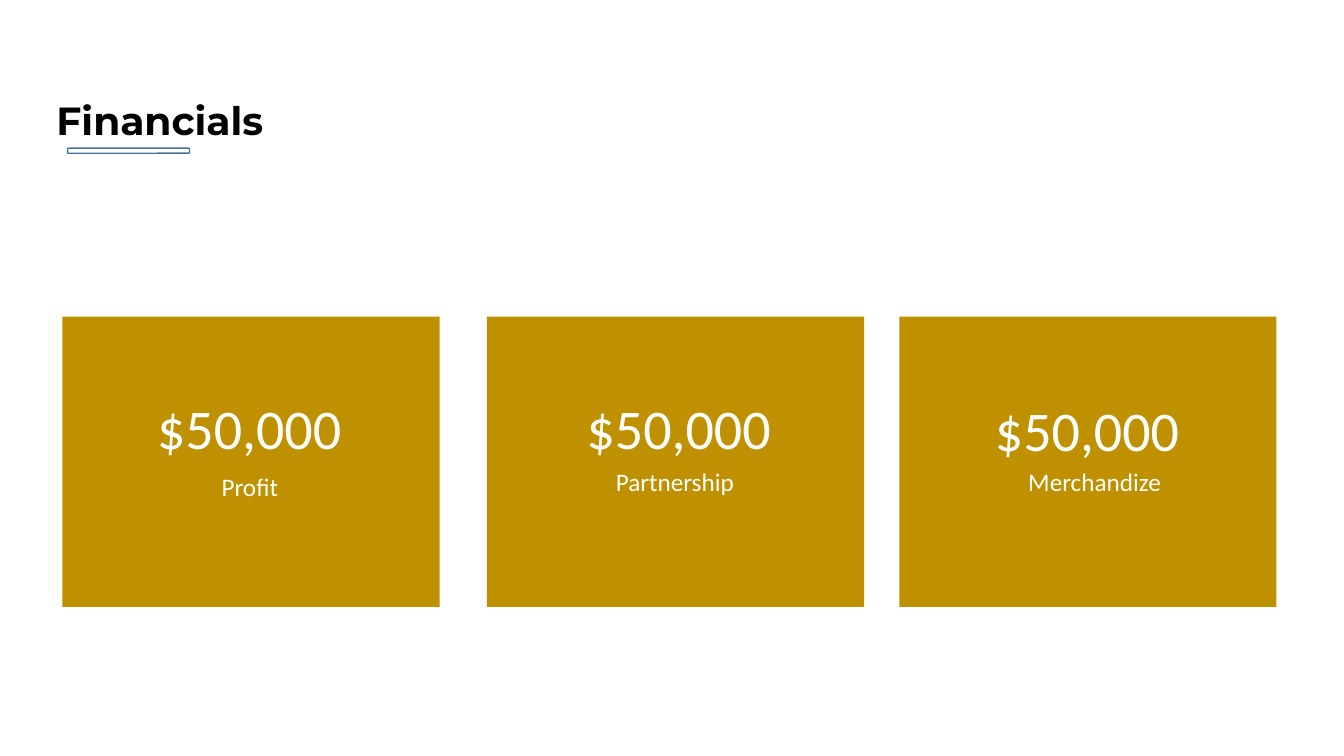
import pptx
import pptx.util
import pptx.dml.color
import pptx.enum.shapes
import pptx.enum.text

Inches = pptx.util.Inches
COLORS = {"black": "000000", "white": "FFFFFF", "gold": "BF9000", "blue": "43739E"}


class FinancialsSlide:
    """Holds the style and the slide being built."""

    heading_font = "Montserrat"
    body_font = "Calibri"

    def __init__(self, presentation):
        self.slide = presentation.slides.add_slide(presentation.slide_layouts[5])

    def color(self, name):
        return pptx.dml.color.RGBColor.from_string(COLORS[name])

    def place(self, shape, left, top, width, height):
        shape.left, shape.top = Inches(left), Inches(top)
        shape.width, shape.height = Inches(width), Inches(height)

    def set_text(self, shape, text, size, font, color, bold=False):
        frame = shape.text_frame
        frame.word_wrap = False
        frame.auto_size = pptx.enum.text.MSO_AUTO_SIZE.SHAPE_TO_FIT_TEXT
        frame.vertical_anchor = pptx.enum.text.MSO_ANCHOR.TOP
        paragraph = frame.paragraphs[0]
        paragraph.alignment = pptx.enum.text.PP_ALIGN.LEFT
        run = paragraph.add_run()
        run.text = text
        run.font.size = pptx.util.Pt(size)
        run.font.name = font
        run.font.bold = bold
        run.font.color.rgb = self.color(color)
        return paragraph

    def title(self, text, box):
        shape = self.slide.shapes.title
        self.place(shape, *box)
        paragraph = self.set_text(shape, text, 28, self.heading_font, "black", bold=True)
        paragraph.line_spacing = 1.15

    def label(self, text, box, size):
        shape = self.slide.shapes.add_textbox(*map(Inches, box))
        self.set_text(shape, text, size, self.body_font, "white")

    def box(self, kind, box, fill=None, line=None):
        shape = self.slide.shapes.add_shape(kind, *map(Inches, box))
        shape.shadow.inherit = False
        if fill:
            shape.fill.solid()
            shape.fill.fore_color.rgb = self.color(fill)
        else:
            shape.fill.background()
        if line:
            shape.line.color.rgb = self.color(line)
            shape.line.width = pptx.util.Pt(1)
        else:
            shape.line.fill.background()


def main():
    presentation = pptx.Presentation()
    presentation.slide_width = Inches(13.33)
    presentation.slide_height = Inches(7.5)
    financials = FinancialsSlide(presentation)
    shapes = pptx.enum.shapes.MSO_SHAPE

    # Heading with its underline
    financials.title("Financials", (0.46, 0.84, 2.4, 0.61))
    financials.box(shapes.ROUNDED_RECTANGLE, (0.67, 1.47, 1.21, 0.05), line="blue")

    # Cards: card left, amount left and top, caption and its box
    cards = [
        (0.62, 1.46, 3.86, "Profit", (2.1, 4.63, 0.77, 0.4)),
        (4.83, 5.72, 3.86, "Partnership", (6.01, 4.58, 1.38, 0.4)),
        (8.92, 9.77, 3.87, "Merchandize", (10.1, 4.58, 1.53, 0.4)),
    ]
    for card_left, amount_left, amount_top, caption, caption_box in cards:
        financials.box(shapes.RECTANGLE, (card_left, 3.14, 3.74, 2.88), fill="gold")
        financials.label("$50,000", (amount_left, amount_top, 2.05, 0.77), 40)
        financials.label(caption, caption_box, 18)

    presentation.save("out.pptx")


if __name__ == "__main__":
    main()
